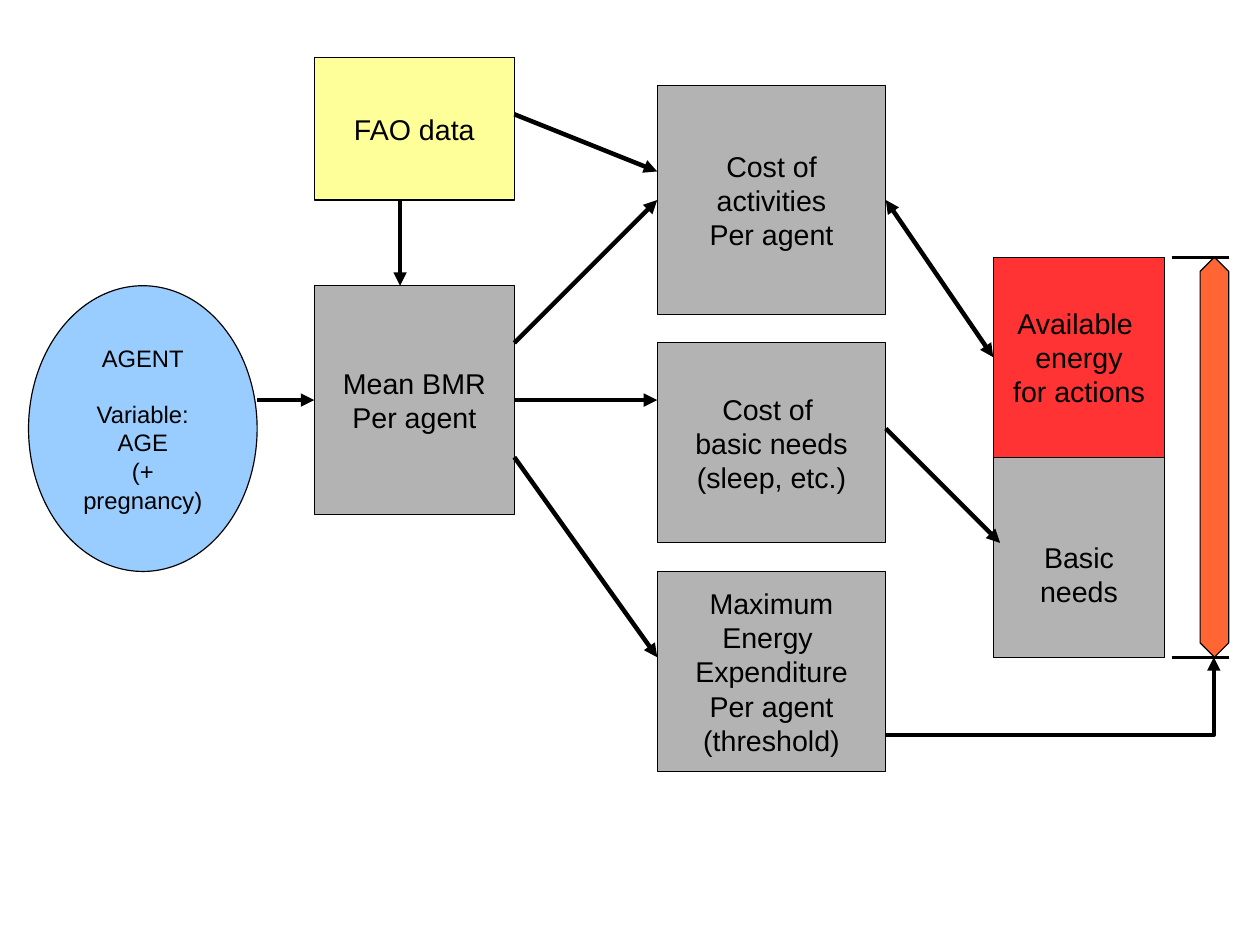
from lxml.etree import SubElement
from pptx import Presentation
from pptx.dml.color import RGBColor
from pptx.enum.shapes import MSO_CONNECTOR, MSO_SHAPE
from pptx.enum.text import MSO_ANCHOR, PP_ALIGN
from pptx.oxml.ns import qn
from pptx.util import Cm, Pt

BLACK = RGBColor(0x00, 0x00, 0x00)
GRAY = RGBColor(0xB3, 0xB3, 0xB3)
BLUE = RGBColor(0x99, 0xCC, 0xFF)
YELLOW = RGBColor(0xFF, 0xFF, 0x99)
RED = RGBColor(0xFF, 0x33, 0x33)
ORANGE = RGBColor(0xFF, 0x66, 0x33)
CM_PER_INCH = 2.54

deck = Presentation()
deck.slide_width = Cm(28)
deck.slide_height = Cm(21)
slide = deck.slides.add_slide(deck.slide_layouts[6])


def add_block(preset, bounds, fill, lines=(), size=18):
    block = slide.shapes.add_shape(preset, *[Cm(v * CM_PER_INCH) for v in bounds])
    block.shadow.inherit = False
    block.fill.solid()
    block.fill.fore_color.rgb = fill
    block.line.color.rgb = BLACK
    block.line.width = Pt(0)
    frame = block.text_frame
    frame.word_wrap = True
    frame.vertical_anchor = MSO_ANCHOR.MIDDLE
    frame.text = "\n".join(lines)
    for paragraph in frame.paragraphs:
        paragraph.alignment = PP_ALIGN.CENTER
        for run in paragraph.runs:
            run.font.name = "Arial"
            run.font.size = Pt(size)
            run.font.color.rgb = BLACK
    return block


def add_link(start, end, width=2.83, arrows=("tailEnd",), kind=MSO_CONNECTOR.STRAIGHT):
    link = slide.shapes.add_connector(kind, *[Cm(v * CM_PER_INCH) for v in start + end])
    link.line.color.rgb = BLACK
    link.line.width = Pt(width)
    outline = link.line._get_or_add_ln()
    for arrow in arrows:
        SubElement(outline, qn(f"a:{arrow}"), type="triangle")
    SubElement(link._element.spPr, qn("a:effectLst"))
    return link


agent = add_block(MSO_SHAPE.OVAL, (0.25, 2.5, 2, 2.5), BLUE,
                  ["AGENT", "Variable: AGE", "(+ pregnancy)"], 15)
agent.text_frame.paragraphs[1].space_before = Pt(17.5)

boxes = {}
for name, bounds, fill, lines in [
    ("basic cost", (5.75, 3, 2, 1.75), GRAY, ["Cost of ", "basic needs", "(sleep, etc.)"]),
    ("bmr", (2.75, 2.5, 1.75, 2), GRAY, ["Mean BMR", "Per agent"]),
    ("activities", (5.75, 0.75, 2, 2), GRAY, ["Cost of activities", "Per agent"]),
    ("maximum", (5.75, 5, 2, 1.75), GRAY,
     ["Maximum", "Energy ", "Expenditure", "Per agent", "(threshold)"]),
    ("basic needs", (8.69, 4, 1.5, 1.75), GRAY, ["Basic needs"]),
    ("available", (8.69, 2.25, 1.5, 1.75), RED, ["Available ", "energy", "for actions"]),
    ("fao", (2.75, 0.5, 1.75, 1.25), YELLOW, ["FAO data"]),
]:
    boxes[name] = add_block(MSO_SHAPE.RECTANGLE, bounds, fill, lines)
boxes["basic needs"].text_frame.margin_top = Cm(0.86)

energy_range = add_block(MSO_SHAPE.UP_DOWN_ARROW, (10.5, 2.25, 0.25, 3.5), ORANGE)
energy_range.adjustments[0] = 0.5
energy_range.adjustments[1] = 2.79

for start, end in [
    ((4.5, 4), (5.75, 5.75)),
    ((7.75, 3.75), (8.75, 4.75)),
    ((3.5, 1.75), (3.5, 2.5)),
    ((4.5, 1), (5.75, 1.5)),
]:
    add_link(start, end)

agent_to_bmr = add_link((2.25, 3.5), (2.75, 3.5))
agent_to_bmr.end_connect(boxes["bmr"], 1)
bmr_to_basic = add_link((4.5, 3.5), (5.75, 3.5))
bmr_to_basic.begin_connect(boxes["bmr"], 3)
bmr_to_activities = add_link((4.5, 3), (5.75, 1.75))
bmr_to_activities.end_connect(boxes["activities"], 1)
activities_to_available = add_link((7.75, 1.75), (8.69, 3.13), arrows=("headEnd", "tailEnd"))
activities_to_available.begin_connect(boxes["activities"], 3)
activities_to_available.end_connect(boxes["available"], 1)

threshold = add_link((7.75, 6.43), (10.62, 5.75), kind=MSO_CONNECTOR.ELBOW)
threshold._element.spPr.find(qn("a:prstGeom")).set("prst", "bentConnector2")

for limit in (2.25, 5.75):
    add_link((10.25, limit), (10.75, limit), width=0, arrows=())

deck.save("out.pptx")
